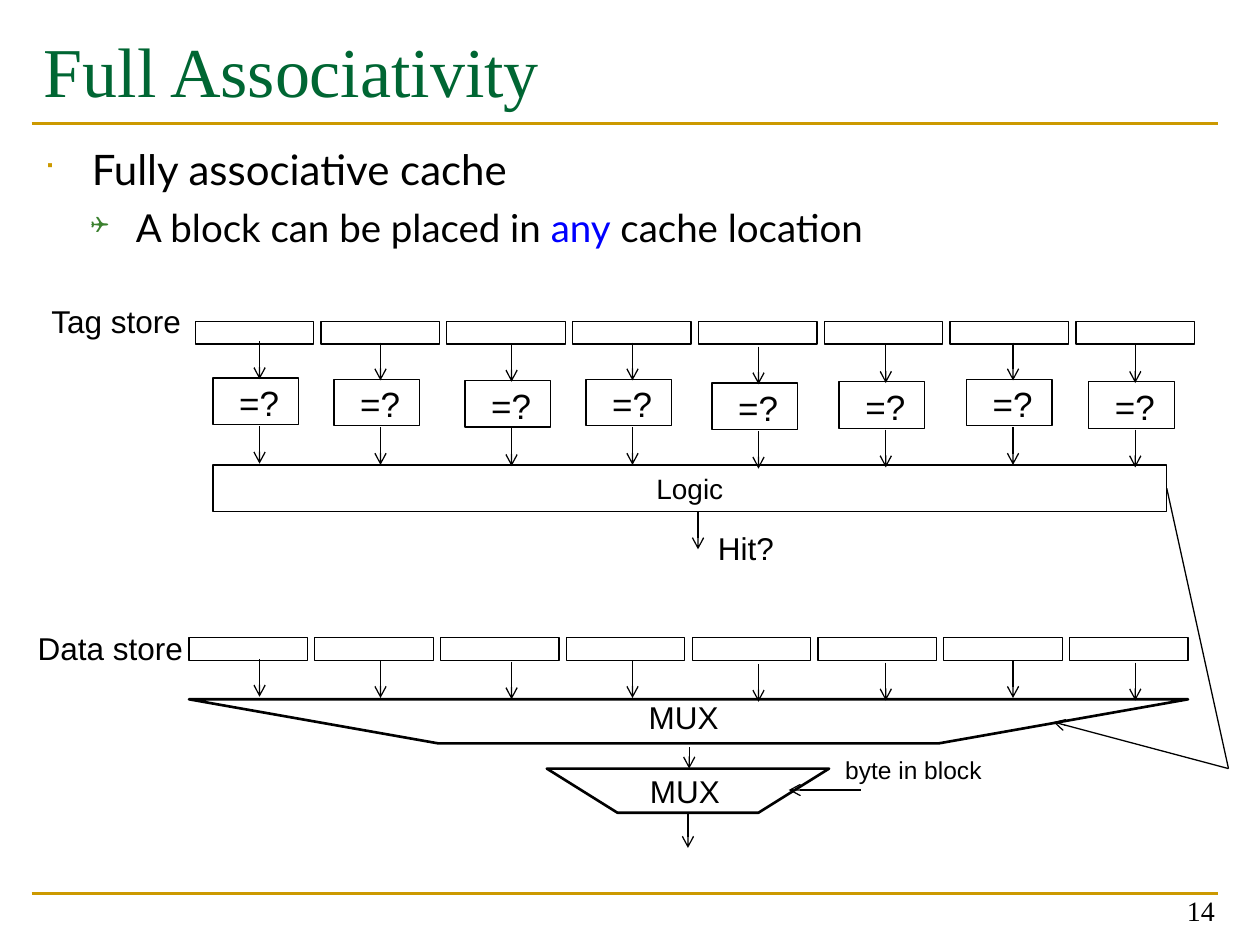
"""Build the Full Associativity slide: cache tag store, data store and multiplexers."""
from lxml import etree
from pptx import Presentation
from pptx.dml.color import RGBColor
from pptx.enum.shapes import MSO_CONNECTOR, MSO_SHAPE
from pptx.enum.text import MSO_ANCHOR, PP_ALIGN
from pptx.oxml.ns import qn
from pptx.util import Inches, Pt

STRAIGHT = MSO_CONNECTOR.STRAIGHT
RECTANGLE = MSO_SHAPE.RECTANGLE
TOP, MIDDLE, BOTTOM = MSO_ANCHOR.TOP, MSO_ANCHOR.MIDDLE, MSO_ANCHOR.BOTTOM
LEFT, CENTER, RIGHT = PP_ALIGN.LEFT, PP_ALIGN.CENTER, PP_ALIGN.RIGHT
BLACK = RGBColor(0x00, 0x00, 0x00)
GOLD = RGBColor(0xCC, 0x99, 0x00)
TITLE_GREEN = RGBColor(0x00, 0x66, 0x33)
BULLET_GREEN = RGBColor(0x3B, 0x81, 0x2F)
BLUE = RGBColor(0x00, 0x00, 0xFF)
SERIF = "Times New Roman"

presentation = Presentation()
presentation.slide_width = Inches(10)
presentation.slide_height = Inches(7.5)
slide = presentation.slides.add_slide(presentation.slide_layouts[6])


def write(text, position=None, shape=None, size=18, font="Arial", color=BLACK,
          align=LEFT, anchor=TOP, wrap=True):
    if shape is None:
        shape = slide.shapes.add_textbox(*map(Inches, position))
    frame = shape.text_frame
    frame.word_wrap = wrap
    frame.vertical_anchor = anchor
    if not wrap:
        frame.margin_right = 0
    paragraph = frame.paragraphs[0]
    paragraph.alignment = align
    run = paragraph.add_run()
    run.text = text
    run.font.size = Pt(size)
    run.font.name = font
    run.font.color.rgb = color


def add_line(start, end, color=BLACK, width=0.75, arrow=True):
    connector = slide.shapes.add_connector(STRAIGHT, *map(Inches, start + end))
    connector.line.color.rgb = color
    connector.line.width = Pt(width)
    if arrow:
        etree.SubElement(connector.line._get_or_add_ln(), qn("a:tailEnd"), type="arrow")
    etree.SubElement(connector._element.spPr, qn("a:effectLst"))
    return connector


for rule_top in (7.09, 0.98):
    add_line((0.25, rule_top), (9.67, rule_top), GOLD, 1.5, arrow=False)

write("Full Associativity", (0.25, 0.17, 9.42, 1.17), size=40, font=SERIF,
      color=TITLE_GREEN)

body = slide.shapes.add_textbox(Inches(0.25), Inches(1.09), Inches(9.42), Inches(5.68))
body.text_frame.word_wrap = True
bullet_items = [
    (0, 0.38, -0.38, 0, "■", GOLD, 65, 24, [("Fully associative cache", BLACK)]),
    (1, 0.73, -0.36, 5.5, "❑", BULLET_GREEN, 60, 22,
     [("A block can be placed in ", BLACK), ("any", BLUE), (" cache location", BLACK)]),
]
for level, margin, indent, space, mark, mark_color, mark_size, size, pieces in bullet_items:
    paragraph = body.text_frame.paragraphs[0] if level == 0 else body.text_frame.add_paragraph()
    paragraph.level = level
    paragraph.space_before = Pt(space)
    properties = paragraph._p.get_or_add_pPr()
    properties.set("marL", str(Inches(margin)))
    properties.set("indent", str(Inches(indent)))
    bullet_color = etree.SubElement(properties, qn("a:buClr"))
    etree.SubElement(bullet_color, qn("a:srgbClr"), val=str(mark_color))
    etree.SubElement(properties, qn("a:buSzPct"), val=str(mark_size * 1000))
    etree.SubElement(properties, qn("a:buFont"), typeface="Wingdings")
    etree.SubElement(properties, qn("a:buChar"), char=mark)
    for text, color in pieces:
        run = paragraph.add_run()
        run.text = text
        run.font.size = Pt(size)
        run.font.name = "Lato"
        run.font.color.rgb = color

write("14", (7.41, 6.91, 2.33, 0.5), size=16, font=SERIF, align=RIGHT, anchor=BOTTOM)

comparators = list(zip((1.69, 2.65, 3.69, 4.65, 5.65, 6.66, 7.67, 8.64),
                       (3, 3.01, 3.02, 3.01, 3.04, 3.03, 3.01, 3.03)))
rectangles = [(left + 0.9985 * column, top, 0.94, 0.18)
              for left, top in ((1.55, 2.55), (1.5, 5.06)) for column in range(8)]
rectangles += [(left, top, 0.68, 0.37) for left, top in comparators]
rectangles.append((1.69, 3.69, 7.57, 0.37))
outlines = [(slide.shapes.add_shape(RECTANGLE, *map(Inches, rectangle)), 0.75)
            for rectangle in rectangles]
logic = outlines[-1][0]

mux_corners = [
    [(9.43, 5.55), (7.45, 5.9), (3.48, 5.9), (1.5, 5.55)],
    [(6.58, 6.1), (6.02, 6.45), (4.9, 6.45), (4.34, 6.1)],
]
for corners in mux_corners:
    points = [(Inches(x), Inches(y)) for x, y in corners]
    builder = slide.shapes.build_freeform(*points[0], scale=1.0)
    builder.add_line_segments(points[1:], close=True)
    outlines.append((builder.convert_to_shape(), 1.5))

for shape, width in outlines:
    shape.shadow.inherit = False
    shape.fill.background()
    shape.line.color.rgb = BLACK
    shape.line.width = Pt(width)

for left, top in comparators:
    write("=?", (left + 0.11, top - 0.02, 0.51, 0.44), size=20, wrap=False)
    for offset in (-0.29, 0.38, 2.23):
        add_line((left + 0.37, top + offset), (left + 0.37, top + offset + 0.3))

write("Logic", shape=logic, size=16, align=CENTER, anchor=MIDDLE)
write("Tag store", (0.31, 2.35, 1.25, 0.4), wrap=False)
write("Data store", (0.2, 4.94, 1.35, 0.4), wrap=False)
write("Hit?", (5.6, 4.15, 0.64, 0.4), wrap=False)
write("MUX", (5.05, 5.49, 0.89, 0.4))
write("MUX", (5.06, 6.08, 0.87, 0.4))
write("byte in block", (6.61, 5.94, 1.47, 0.34), size=14)

add_line((5.54, 4.06), (5.54, 4.36))
add_line((5.47, 5.93), (5.47, 6.1))
add_line((5.46, 6.45), (5.46, 6.73))
add_line((6.83, 6.27), (6.26, 6.27))
select_line = add_line((9.26, 3.88), (9.75, 6.1), arrow=False)
select_line.begin_connect(logic, 3)
add_line((9.75, 6.1), (8.36, 5.73))

presentation.save("out.pptx")
